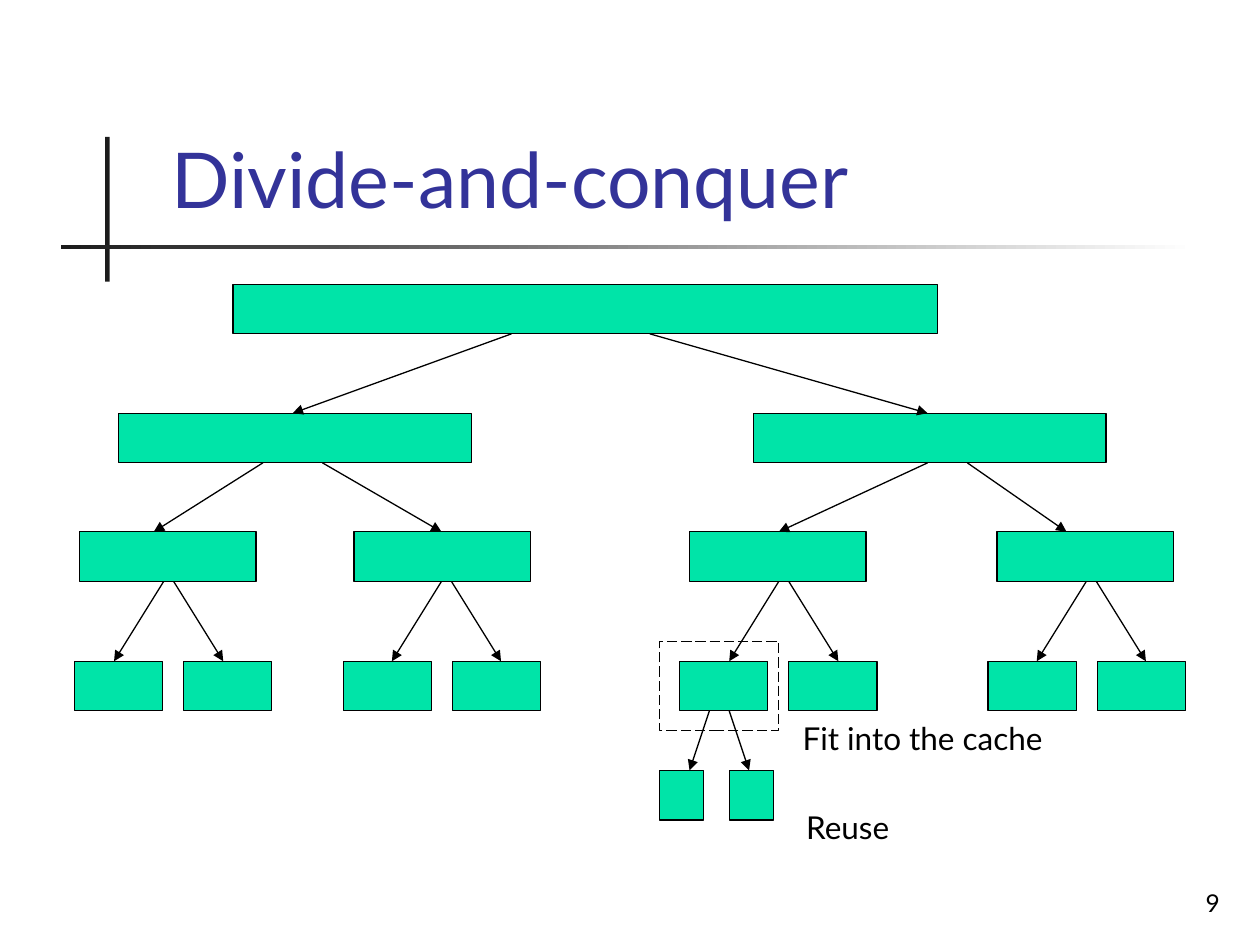
from dataclasses import dataclass

from lxml import etree
from pptx import Presentation
from pptx.dml.color import RGBColor
from pptx.enum.dml import MSO_LINE
from pptx.enum.shapes import MSO_CONNECTOR, MSO_SHAPE
from pptx.enum.text import MSO_ANCHOR, MSO_AUTO_SIZE, PP_ALIGN
from pptx.oxml.ns import qn
from pptx.util import Cm, Pt

RECT = MSO_SHAPE.RECTANGLE
LINE = MSO_CONNECTOR.STRAIGHT
DASH = MSO_LINE.LONG_DASH
TOP, BOTTOM = MSO_ANCHOR.TOP, MSO_ANCHOR.BOTTOM
LEFT, RIGHT = PP_ALIGN.LEFT, PP_ALIGN.RIGHT
FIXED = MSO_AUTO_SIZE.NONE

COLORS = {"ink": "000000", "rule": "1C1C1C", "paper": "FFFFFF",
          "node": "00E4A8", "title": "333399"}
FONT = "Lato"
HIGH = 1.0  # height of every node, in cm


@dataclass
class Level:
    """One row of the tree: node lefts, and arrows (from x, to x) leading in."""
    top: float
    width: float
    lefts: list[float]
    arrows: list[tuple[float, float]]


@dataclass
class Label:
    text: str
    box: tuple[float, float, float, float]
    size: int = 18
    color: str = "ink"
    anchor: int = TOP
    align: int = LEFT
    wrap: bool = False


MIDS = [3.4, 9.0, 15.8, 22.0]
LEAVES = [1.5, 6.92, 13.7, 19.92]
LEVELS = [
    Level(5.73, 14.2, [4.7], []),
    Level(8.33, 7.11, [2.39, 15.19], [(10.31, 5.9), (13.1, 18.7)]),
    Level(10.72, 3.56, [1.6, 7.14, 13.9, 20.1],
          [(5.3, 3.1), (6.5, 8.9), (18.7, 15.7), (19.5, 21.5)]),
    Level(13.33, 1.78, [x + step for x in LEAVES for step in (0, 2.2)],
          [(mid + side * 0.1, mid + side * 1.1)
           for mid in MIDS for side in (-1, 1)]),
    Level(15.53, 0.89, [13.3, 14.71], [(14.3, 13.9), (14.7, 15.1)]),
]
LABELS = [
    Label("Fit into the cache", (15.93, 14.38, 5.59, 1.02)),
    Label("Reuse", (16.0, 16.16, 2.31, 1.02)),
    Label("9", (19.56, 17.35, 5.28, 1.27), 14, anchor=BOTTOM, align=RIGHT,
          wrap=True),
]
TITLE = Label("Divide-and-conquer", (3.2, 0.58, 21.64, 4.06), 44, "title",
              BOTTOM, wrap=True)


def tint(name: str) -> RGBColor:
    return RGBColor.from_string(COLORS[name])


def apply(target, values: dict) -> None:
    for name, value in values.items():
        setattr(target, name, value)


def add_box(shapes, x: float, y: float, wide: float, high: float,
            fill: str | None = None, edge: str | None = None):
    box = shapes.add_shape(RECT, Cm(x), Cm(y), Cm(wide), Cm(high))
    box.shadow.inherit = False
    if fill:
        box.fill.solid()
        box.fill.fore_color.rgb = tint(fill)
    else:
        box.fill.background()
    if edge:
        box.line.color.rgb = tint(edge)
        box.line.width = Pt(0.75)
    else:
        box.line.fill.background()
    return box


def add_arrow(shapes, start: tuple[float, float],
              end: tuple[float, float]) -> None:
    arrow = shapes.add_connector(LINE, *(Cm(v) for v in start + end))
    arrow.line.color.rgb = tint("ink")
    arrow.line.width = Pt(0.75)
    head = etree.SubElement(arrow.line._get_or_add_ln(), qn("a:tailEnd"))
    head.set("type", "triangle")
    etree.SubElement(arrow._element.spPr, qn("a:effectLst"))


def add_level(shapes, level: Level, above: float) -> None:
    for left in level.lefts:
        add_box(shapes, left, level.top, level.width, HIGH, "node", "ink")
    for start, end in level.arrows:
        add_arrow(shapes, (start, above + HIGH), (end, level.top))


def write(shape, label: Label) -> None:
    """Place a text shape and give it the label's words and format."""
    sides = ("left", "top", "width", "height")
    apply(shape, dict(zip(sides, map(Cm, label.box))))
    frame = shape.text_frame
    frame.text = label.text
    apply(frame, {"auto_size": FIXED, "word_wrap": label.wrap,
                  "vertical_anchor": label.anchor})
    para = frame.paragraphs[0]
    para.alignment = label.align
    apply(para.font, {"name": FONT, "size": Pt(label.size)})
    para.font.color.rgb = tint(label.color)


def add_rules(shapes) -> None:
    add_box(shapes, 2.12, 2.76, 0.09, 2.92, "rule")
    fade = add_box(shapes, 1.23, 4.94, 22.86, 0.09).fill
    fade.gradient()
    fade.gradient_angle = 0
    for stop, name in zip(fade.gradient_stops, ("rule", "paper")):
        stop.color.rgb = tint(name)


def main() -> None:
    deck = Presentation()
    apply(deck, {"slide_width": Cm(25.4), "slide_height": Cm(19.05)})
    slide = deck.slides.add_slide(deck.slide_layouts[5])
    shapes = slide.shapes
    add_rules(shapes)
    write(shapes.title, TITLE)
    above = 0.0
    for level in LEVELS:
        add_level(shapes, level, above)
        above = level.top
    add_box(shapes, 13.3, 12.93, 2.4, 1.8, edge="ink").line.dash_style = DASH
    for label in LABELS:
        write(shapes.add_textbox(*map(Cm, label.box)), label)
    deck.save("out.pptx")


if __name__ == "__main__":
    main()
